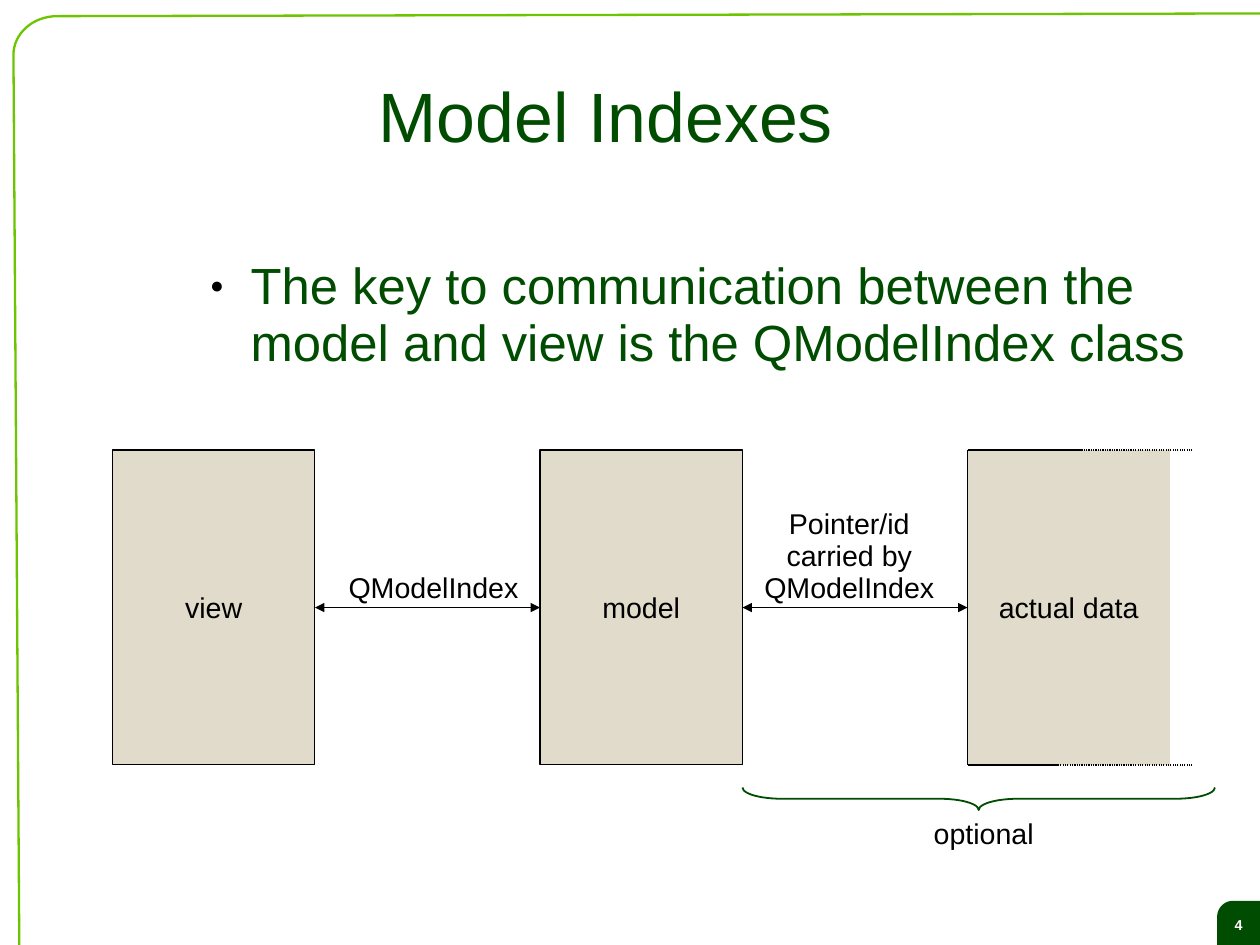
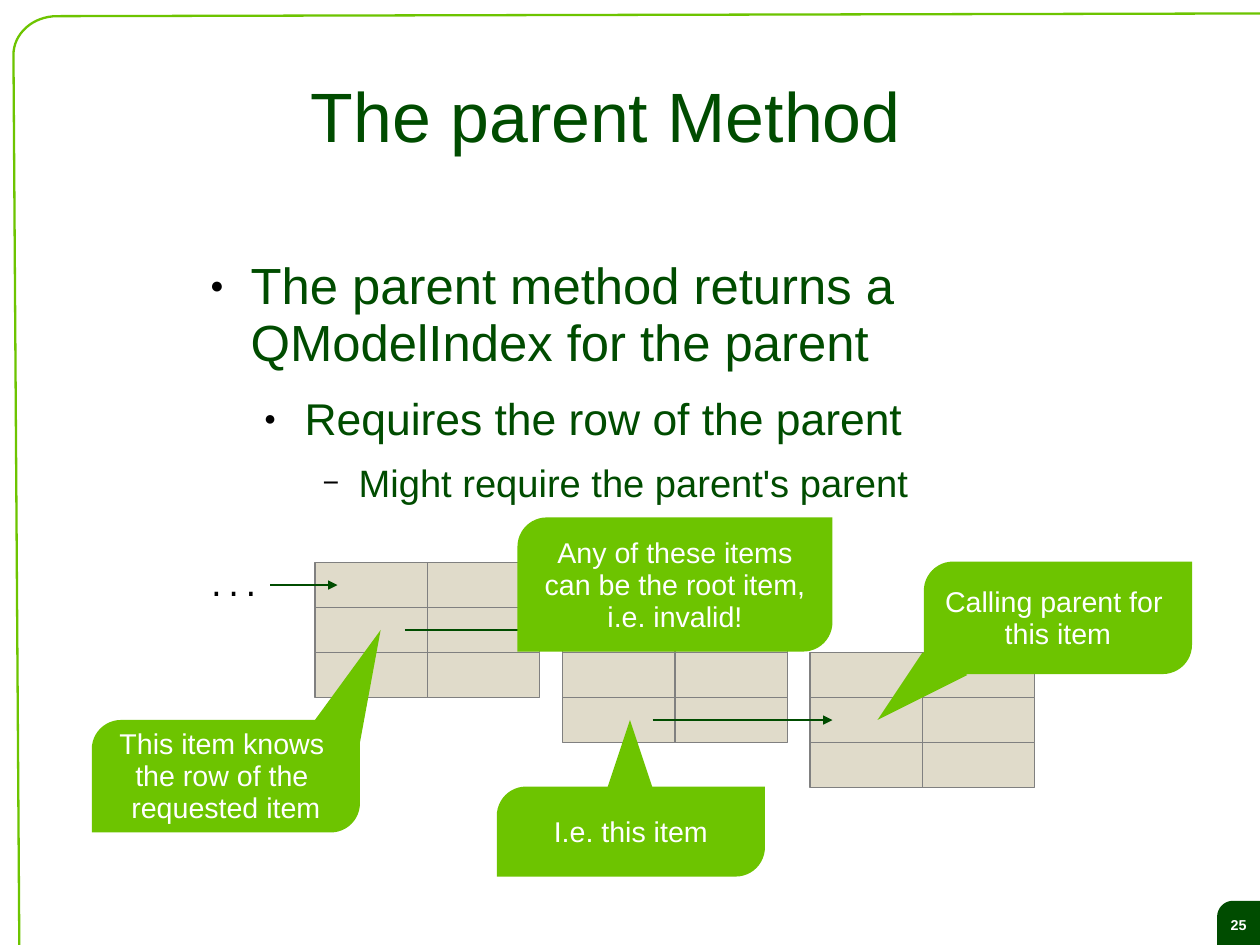
from dataclasses import dataclass
from itertools import product
from math import cos, pi, sin
from typing import NamedTuple

from lxml.etree import SubElement
from pptx import Presentation
from pptx.dml.color import RGBColor
from pptx.enum.dml import MSO_LINE
from pptx.enum.shapes import MSO_CONNECTOR, MSO_SHAPE
from pptx.enum.text import MSO_ANCHOR, MSO_AUTO_SIZE, PP_ALIGN
from pptx.oxml.ns import qn
from pptx.util import Emu, Pt

COLORS = {
    "forest": "004C00",
    "lime": "6DC400",
    "sand": "E0DBCA",
    "gray": "808080",
    "black": "000000",
    "white": "FFFFFF",
}
COLUMNS, ROWS = 28, 21
GRID_UNIT = 360000
FONT = "Arial"
MONO_FONT = "DejaVu Sans Mono"
LINE_SPACING = 0.93
THIN, MEDIUM, FRAME = 0.74, 1.13, 1.45


class Point(NamedTuple):
    column: float
    row: float


class Area(NamedTuple):
    column: float
    row: float
    columns: float
    rows: float


class Margins(NamedTuple):
    left: float = 0.25
    top: float = 0.18
    right: float = 0.25
    bottom: float = 0.13


@dataclass(frozen=True)
class TextStyle:
    size: float = 18
    color: str = "black"
    font: str = FONT
    bold: bool = False
    align: PP_ALIGN = PP_ALIGN.CENTER


@dataclass(frozen=True)
class Bullet:
    mark: str
    mark_percent: int
    size: int
    indent: float
    hanging: float
    space_after: float


@dataclass(frozen=True)
class Label:
    text: str
    area: Area
    style: TextStyle = TextStyle()


@dataclass(frozen=True)
class Link:
    start: Point
    end: Point
    color: str = "black"
    weight: float = THIN
    head: bool = False
    tail: bool = False
    dotted: bool = False


@dataclass(frozen=True)
class Callout:
    text: str
    area: Area
    pointer: tuple[Point, Point, Point]


BULLETS = [
    Bullet("●", 45, 32, 1.2, 0.9, 14.3),
    Bullet("●", 45, 28, 2.4, 0.9, 11.4),
    Bullet("−", 75, 24, 3.6, 0.8, 8.5),
]
TITLE_AREA = Area(4.37, 0.97, 18.2, 3.25)
BODY_AREA = Area(4.37, 5.69, 22.33, 13.87)
PAGE_AREA = Area(27.05, 20.02, 0.95, 0.98)


def span(units: float) -> Emu:
    return Emu(round(units * GRID_UNIT))


def spans(lengths) -> list[Emu]:
    return [span(length) for length in lengths]


def rgb(name: str) -> RGBColor:
    return RGBColor.from_string(COLORS[name])


def write(frame, text: str, style: TextStyle, margins: Margins = Margins()) -> None:
    frame.margin_left, frame.margin_top, frame.margin_right, frame.margin_bottom = spans(margins)
    frame.auto_size = MSO_AUTO_SIZE.NONE
    for index, line in enumerate(text.split("\n")):
        paragraph = frame.add_paragraph() if index else frame.paragraphs[0]
        paragraph.text = line
        paragraph.alignment = style.align
        format_paragraph(paragraph, style)


def format_paragraph(paragraph, style: TextStyle) -> None:
    paragraph.line_spacing = LINE_SPACING
    paragraph.font.size = Pt(style.size)
    paragraph.font.name = style.font
    paragraph.font.bold = style.bold
    paragraph.font.color.rgb = rgb(style.color)


def paint(shape, fill: str | None, line: str | None = None, weight: float = THIN):
    shape.shadow.inherit = False
    if fill:
        shape.fill.solid()
        shape.fill.fore_color.rgb = rgb(fill)
    else:
        shape.fill.background()
    if line:
        shape.line.color.rgb = rgb(line)
        shape.line.width = Pt(weight)
    else:
        shape.line.fill.background()
    return shape


def add_box(slide, area: Area, fill: str, line: str | None = None):
    return paint(slide.shapes.add_shape(MSO_SHAPE.RECTANGLE, *spans(area)), fill, line)


def add_outline(slide, points: list[Point], closed: bool = True):
    builder = slide.shapes.build_freeform(*spans(points[0]), scale=1.0)
    builder.add_line_segments([tuple(spans(point)) for point in points[1:]], close=closed)
    return builder.convert_to_shape()


def top_left_corner(left: float, top: float, width: float, height: float) -> list[Point]:
    angles = [step * pi / 32 for step in range(17)]
    return [
        Point(left + width * (1 - cos(angle)), top + height * (1 - sin(angle)))
        for angle in angles
    ]


def add_link(slide, link: Link) -> None:
    connector = slide.shapes.add_connector(
        MSO_CONNECTOR.STRAIGHT, *spans(link.start), *spans(link.end)
    )
    connector.line.color.rgb = rgb(link.color)
    connector.line.width = Pt(link.weight)
    if link.dotted:
        connector.line.dash_style = MSO_LINE.ROUND_DOT
    properties = connector._element.spPr
    outline = properties.find(qn("a:ln"))
    for tag, pointed in (("a:headEnd", link.head), ("a:tailEnd", link.tail)):
        if pointed:
            SubElement(outline, qn(tag), type="triangle")
    SubElement(properties, qn("a:effectLst"))


def add_label(slide, label: Label) -> None:
    frame = slide.shapes.add_textbox(*spans(label.area)).text_frame
    frame.word_wrap = False
    write(frame, label.text, label.style)


def add_body(slide, lines: list[str]) -> None:
    frame = slide.shapes.add_textbox(*spans(BODY_AREA)).text_frame
    frame.word_wrap = True
    write(frame, "\n".join(lines), TextStyle(color="forest", align=PP_ALIGN.LEFT), Margins(0, 0.08, 0, 0))
    for level, (paragraph, bullet) in enumerate(zip(frame.paragraphs, BULLETS)):
        paragraph.level = level
        paragraph.space_after = Pt(bullet.space_after)
        paragraph.font.size = Pt(bullet.size)
        properties = paragraph._p.get_or_add_pPr()
        properties.set("marL", str(span(bullet.indent)))
        properties.set("indent", str(-span(bullet.hanging)))
        defaults = properties.find(qn("a:defRPr"))
        mark_color = SubElement(properties, qn("a:buClr"))
        SubElement(mark_color, qn("a:srgbClr"), val=COLORS["black"])
        SubElement(properties, qn("a:buSzPct"), val=str(bullet.mark_percent * 1000))
        SubElement(properties, qn("a:buFont"), typeface=FONT)
        SubElement(properties, qn("a:buChar"), char=bullet.mark)
        properties.append(defaults)


def add_callout(slide, callout: Callout) -> None:
    balloon = slide.shapes.add_shape(MSO_SHAPE.ROUND_2_DIAG_RECTANGLE, *spans(callout.area))
    paint(balloon, "lime")
    balloon.adjustments[0] = 0.65 / callout.area.rows
    balloon.text_frame.vertical_anchor = MSO_ANCHOR.MIDDLE
    write(balloon.text_frame, callout.text, TextStyle(color="white"), Margins(0.28, 0.2, 0.28, 0.15))
    if callout.pointer:
        paint(add_outline(slide, list(callout.pointer)), "lime")


def start_slide(deck, title: str, page: int, lines: list[str]):
    slide = deck.slides.add_slide(deck.slide_layouts[5])
    heading = slide.shapes.title
    heading.left, heading.top, heading.width, heading.height = spans(TITLE_AREA)
    heading.text_frame.vertical_anchor = MSO_ANCHOR.MIDDLE
    write(heading.text_frame, title, TextStyle(44, "forest"), Margins(0, 0.1, 0, 0))

    border = [Point(0.43, ROWS), *top_left_corner(0.3, 0.36, 0.97, 0.86), Point(COLUMNS, 0.3)]
    paint(add_outline(slide, border, closed=False), None, "lime", FRAME)

    right, bottom = PAGE_AREA.column + PAGE_AREA.columns, PAGE_AREA.row + PAGE_AREA.rows
    corner = top_left_corner(PAGE_AREA.column, PAGE_AREA.row, 0.35, 0.35)
    tab_points = [*corner, Point(right, PAGE_AREA.row), Point(right, bottom), Point(PAGE_AREA.column, bottom)]
    page_tab = paint(add_outline(slide, tab_points), "forest")
    page_tab.text_frame.vertical_anchor = MSO_ANCHOR.MIDDLE
    write(page_tab.text_frame, str(page), TextStyle(9, "white", bold=True), Margins(0, 0.18, 0, 0.05))
    add_body(slide, lines)
    return slide


def build_model_indexes(deck) -> None:
    slide = start_slide(
        deck, "Model Indexes", 4,
        ["The key to communication between the model and view is the QModelIndex class"],
    )
    top, bottom, middle, box_width, pitch = 10, 17, 13.5, 4.5, 9.5
    lefts = [2.5 + pitch * index for index in range(3)]
    for left, name, line in zip(lefts, ("view", "model", "actual data"), ("black", "black", None)):
        box = add_box(slide, Area(left, top, box_width, bottom - top), "sand", line)
        box.text_frame.vertical_anchor = MSO_ANCHOR.MIDDLE
        write(box.text_frame, name, TextStyle())
    for left, following in zip(lefts, lefts[1:]):
        add_link(slide, Link(Point(left + box_width, middle), Point(following, middle), head=True, tail=True))

    data_left, open_end = lefts[-1], 26.5
    add_link(slide, Link(Point(data_left, top), Point(data_left, bottom)))
    for row, solid_end in ((top, 24), (bottom, 23.5)):
        add_link(slide, Link(Point(solid_end, row), Point(data_left, row)))
        add_link(slide, Link(Point(open_end, row), Point(solid_end, row), dotted=True))

    for label in (
        Label("QModelIndex", Area(7.5, 12.55, 4.27, 0.97)),
        Label("Pointer/id\ncarried by\nQModelIndex", Area(16.74, 11.13, 4.27, 2.39)),
        Label("optional", Area(20.5, 18.03, 2.72, 0.97)),
    ):
        add_label(slide, label)
    brace = slide.shapes.add_shape(MSO_SHAPE.LEFT_BRACE, *spans(Area(21.5, 12.5, 0.5, 10.5)))
    brace.rotation = 270
    brace.adjustments[0] = 1.75
    paint(brace, None, "forest", MEDIUM)


def build_parent_method(deck) -> None:
    slide = start_slide(
        deck, "The parent Method", 25,
        [
            "The parent method returns a QModelIndex for the parent",
            "Requires the row of the parent",
            "Might require the parent's parent",
        ],
    )
    cell_width, cell_height = 2.5, 1
    for level, row, column in product(range(3), range(3), range(2)):
        left = 7 + 5.5 * level + cell_width * column
        add_box(slide, Area(left, 12.5 + level + row, cell_width, cell_height), "sand", "gray")
    add_label(slide, Label("...", Area(4.37, 12.5, 1.65, 1), TextStyle(font=MONO_FONT)))
    for start, end, row in ((6, 7.5, 13), (9, 13, 14), (14.5, 18.5, 16)):
        add_link(slide, Link(Point(start, row), Point(end, row), "forest", MEDIUM, tail=True))
    for callout in (
        Callout("Calling parent for \nthis item", Area(20.53, 12.48, 5.96, 2.5),
                (Point(20.5, 14.5), Point(19.5, 16), Point(21.5, 15))),
        Callout("I.e. this item", Area(11.04, 17.48, 5.96, 2),
                (Point(14, 16), Point(13.5, 17.5), Point(14.5, 17.5))),
        Callout("This item knows \nthe row of the \nrequested item", Area(2.04, 16, 5.96, 2.5),
                (Point(8.46, 14), Point(8, 16.5), Point(7, 16))),
        Callout("Any of these items\ncan be the root item,\ni.e. invalid!", Area(11.5, 11.5, 7, 2.98), ()),
    ):
        add_callout(slide, callout)


deck = Presentation()
deck.slide_width, deck.slide_height = span(COLUMNS), span(ROWS)
build_model_indexes(deck)
build_parent_method(deck)
deck.save("out.pptx")
